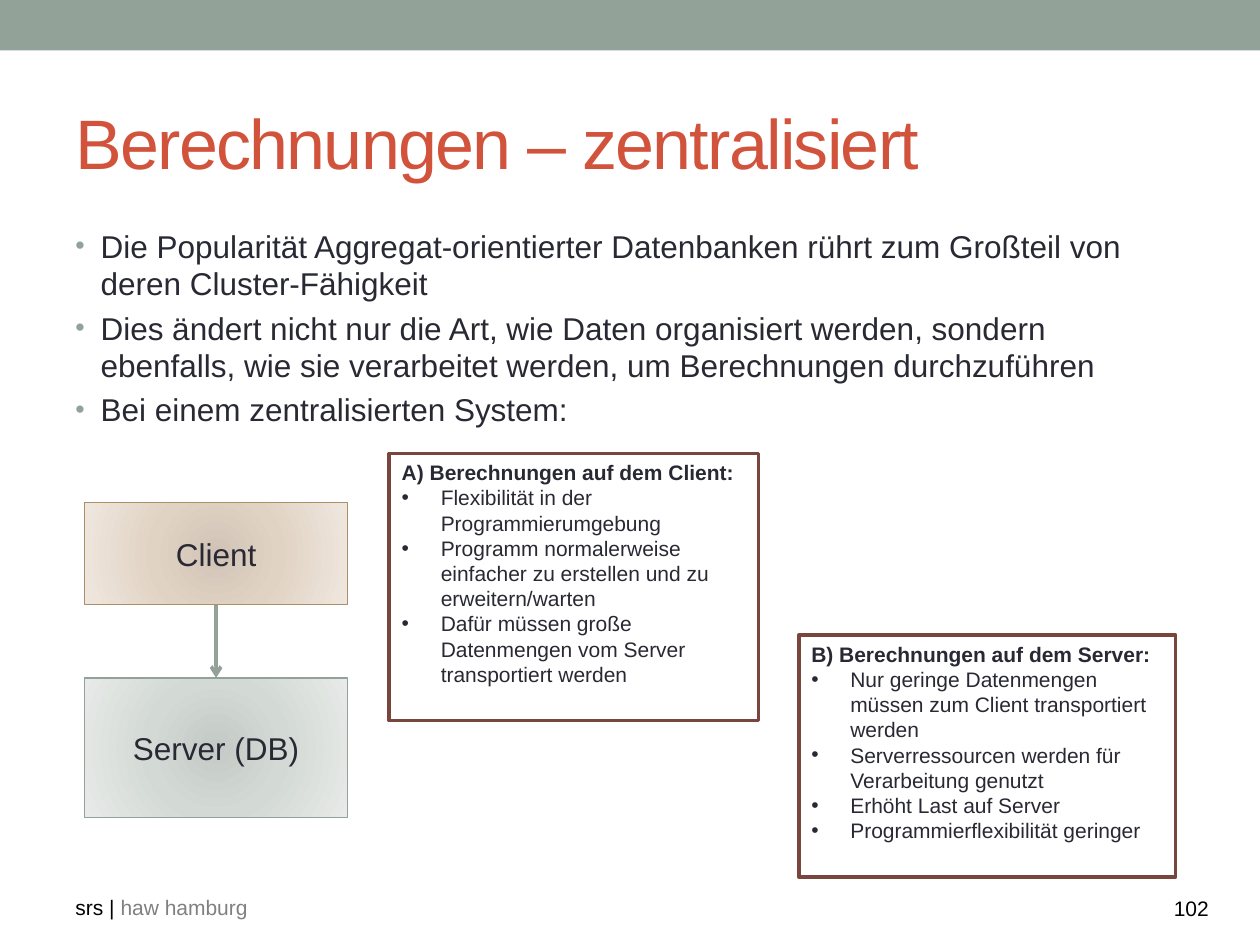
from lxml.etree import SubElement
from pptx import Presentation
from pptx.dml.color import RGBColor
from pptx.enum.shapes import MSO_CONNECTOR, MSO_SHAPE
from pptx.enum.text import MSO_ANCHOR, PP_ALIGN
from pptx.oxml.ns import qn
from pptx.util import Inches, Pt

SAGE = RGBColor(0x93, 0xA2, 0x99)
RED = RGBColor(0xD2, 0x53, 0x3C)
INK = RGBColor(0x29, 0x29, 0x34)
TAN = RGBColor(0xAD, 0x8F, 0x67)
BROWN = RGBColor(0x79, 0x46, 0x3D)
BLACK = RGBColor(0, 0, 0)
GRAY = RGBColor(0x80, 0x80, 0x80)
WHITE = RGBColor(0xFF, 0xFF, 0xFF)

TITLE = "Berechnungen – zentralisiert"
POINTS = [
    "Die Popularität Aggregat-orientierter Datenbanken rührt zum Großteil von deren Cluster-Fähigkeit",
    "Dies ändert nicht nur die Art, wie Daten organisiert werden, sondern ebenfalls, wie sie "
    "verarbeitet werden, um Berechnungen durchzuführen",
    "Bei einem zentralisierten System:",
]
NODES = [
    ("Client", 3.99, 0.81, TAN, ("D1C4B6", "E1D3C4", "EFE7DF")),
    ("Server (DB)", 5.38, 1.11, SAGE, ("C4CAC6", "D3DAD6", "E7EAE8")),
]
NOTES = [
    ((3.09, 3.6, 2.93, 2.12), "A) Berechnungen auf dem Client:", [
        "Flexibilität in der Programmierumgebung",
        "Programm normalerweise einfacher zu erstellen und zu erweitern/warten",
        "Dafür müssen große Datenmengen vom Server transportiert werden",
    ]),
    ((6.34, 5.04, 2.99, 1.92), "B) Berechnungen auf dem Server:", [
        "Nur geringe Datenmengen müssen zum Client transportiert werden",
        "Serverressourcen werden für Verarbeitung genutzt",
        "Erhöht Last auf Server",
        "Programmierflexibilität geringer",
    ]),
]
STOPS = (0, 45, 100)
LEFT, WIDTH = 0.67, 2.09


def write(frame, text, new=False, size=12, color=INK, bold=False,
          align=PP_ALIGN.LEFT, dent=0, mark=None, gap=0):
    para = frame.add_paragraph() if new else frame.paragraphs[0]
    para.alignment = align
    if dent:
        props = para._p.get_or_add_pPr()
        props.set("marL", str(Inches(dent)))
        props.set("indent", str(-Inches(dent)))
        if mark:
            tint = SubElement(props, qn("a:buClr"))
            SubElement(tint, qn("a:srgbClr"), val=str(mark))
            SubElement(props, qn("a:buSzPct"), val="85000")
        SubElement(props, qn("a:buFont"), typeface="Arial")
        SubElement(props, qn("a:buChar"), char="•")
    para.space_before = Pt(gap)
    return add_run(para, text, size, color, bold)


def add_run(para, text, size, color, bold=False):
    run = para.add_run()
    run.text = text
    font = run.font
    font.name, font.size, font.bold = "Arial", Pt(size), bold
    font.color.rgb = color
    return run


def add_text(slide, place, wrap=True):
    frame = slide.shapes.add_textbox(*map(Inches, place)).text_frame
    frame.word_wrap = wrap
    return frame


def add_rect(slide, place, fill=None, line=None, width=0.75):
    box = slide.shapes.add_shape(MSO_SHAPE.RECTANGLE, *map(Inches, place))
    box.shadow.inherit = False
    if fill is not None:
        box.fill.solid()
        box.fill.fore_color.rgb = fill
    if line is None:
        box.line.fill.background()
    else:
        box.line.color.rgb = line
        box.line.width = Pt(width)
    box.text_frame.word_wrap = True
    return box


def shade(box, tones):
    box.fill.gradient()
    grad = box._element.spPr.find(qn("a:gradFill"))
    for child in list(grad):
        grad.remove(child)
    stops = SubElement(grad, qn("a:gsLst"))
    for pos, tone in zip(STOPS, tones):
        stop = SubElement(stops, qn("a:gs"), pos=str(pos * 1000))
        SubElement(stop, qn("a:srgbClr"), val=tone)
    ring = SubElement(grad, qn("a:path"))
    ring.set("path", "circle")
    SubElement(ring, qn("a:fillToRect"), {side: "100000" for side in "ltrb"})


def add_arrow(slide, x, top, end):
    line = slide.shapes.add_connector(
        MSO_CONNECTOR.STRAIGHT, *map(Inches, (x, top, x, end)))
    line.line.color.rgb = SAGE
    line.line.width = Pt(2.08)
    SubElement(line.line._get_or_add_ln(), qn("a:tailEnd"), type="arrow")
    SubElement(line._element.spPr, qn("a:effectLst"))


def main():
    deck = Presentation()
    deck.slide_width, deck.slide_height = Inches(10), Inches(7.5)
    slide = deck.slides.add_slide(deck.slide_layouts[5])

    add_rect(slide, (0, 0, 10, 0.4), fill=SAGE)
    foot = add_text(slide, (0.5, 7.05, 1.58, 0.3), wrap=False)
    write(foot, "srs | ", color=BLACK)
    add_run(foot.paragraphs[0], "haw hamburg", 12, GRAY)
    page = add_text(slide, (9.19, 7.06, 0.53, 0.3), wrap=False)
    write(page, "102", color=BLACK, align=PP_ALIGN.CENTER)

    title = slide.shapes.title
    title.left, title.top, title.width, title.height = map(Inches, (0.5, 0.58, 9, 1.08))
    title.text_frame.vertical_anchor = MSO_ANCHOR.MIDDLE
    head = write(title.text_frame, TITLE, size=40, color=RED)
    head.font._element.set("spc", "-100")

    body = add_text(slide, (0.5, 1.75, 9, 5.33))
    for i, point in enumerate(POINTS):
        write(body, point, new=i > 0, size=18, dent=0.2, mark=SAGE, gap=3.6 if i else 0)

    for name, top, high, edge, tones in NODES:
        box = add_rect(slide, (LEFT, top, WIDTH, high), line=edge)
        shade(box, tones)
        box.text_frame.vertical_anchor = MSO_ANCHOR.MIDDLE
        write(box.text_frame, name, size=18, align=PP_ALIGN.CENTER)
    client, server = NODES
    add_arrow(slide, LEFT + WIDTH / 2, client[1] + client[2], server[1])

    for place, label, items in NOTES:
        frame = add_rect(slide, place, fill=WHITE, line=BROWN, width=2.08).text_frame
        frame.vertical_anchor = MSO_ANCHOR.TOP
        write(frame, label, bold=True)
        for item in items:
            write(frame, item, new=True, dent=0.31)

    deck.save("out.pptx")


if __name__ == "__main__":
    main()
